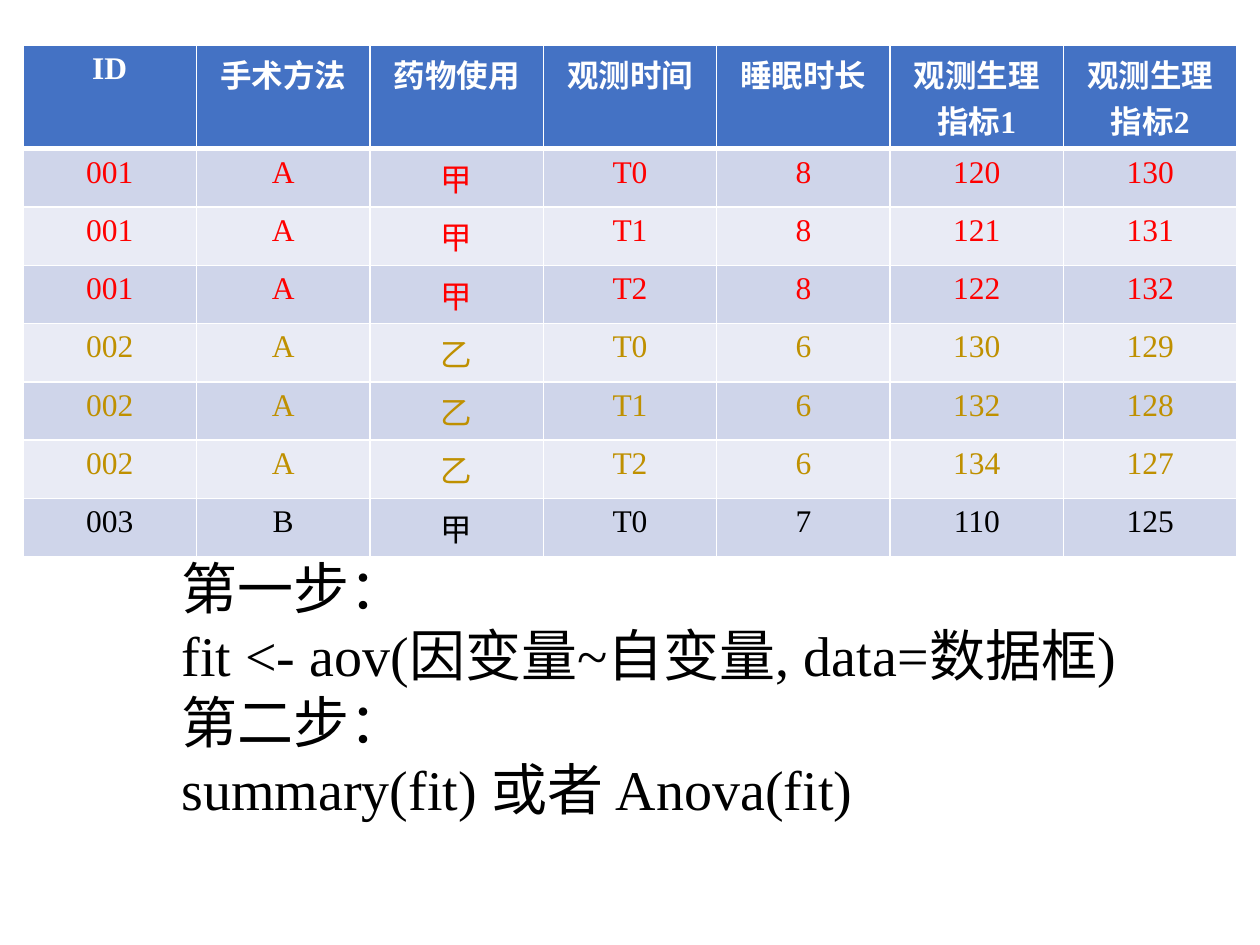
"""Build a slide with a repeated-measures table and the two steps of an ANOVA in R."""
from dataclasses import dataclass

import lxml.etree
import pptx
import pptx.dml.color
import pptx.enum.text
import pptx.oxml.ns
import pptx.util

EMU_PER_PX = 914400 / 126
FONT = "Times New Roman"
WHITE = pptx.dml.color.RGBColor(0xFF, 0xFF, 0xFF)
BLACK = pptx.dml.color.RGBColor(0x00, 0x00, 0x00)
RED = pptx.dml.color.RGBColor(0xFF, 0x00, 0x00)
GOLD = pptx.dml.color.RGBColor(0xBF, 0x90, 0x00)
HEADER_BLUE = pptx.dml.color.RGBColor(0x44, 0x72, 0xC4)
BANDS = (
    pptx.dml.color.RGBColor(0xCF, 0xD5, 0xEA),
    pptx.dml.color.RGBColor(0xE9, 0xEB, 0xF5),
)
HEADER_HEIGHT = 88
RECORD_HEIGHT = 51


@dataclass(frozen=True)
class Box:
    left: int
    top: int
    width: int
    height: int

    def emu(self) -> tuple:
        return tuple(px(n) for n in (self.left, self.top, self.width, self.height))


@dataclass(frozen=True)
class Subject:
    code: str
    surgery: str
    drug: str
    sleep: str
    readings: tuple
    color: pptx.dml.color.RGBColor


HEADINGS = ("ID", "手术方法", "药物使用", "观测时间", "睡眠时长", "观测生理指标1", "观测生理指标2")
SUBJECTS = (
    Subject("001", "A", "甲", "8", (("120", "130"), ("121", "131"), ("122", "132")), RED),
    Subject("002", "A", "乙", "6", (("130", "129"), ("132", "128"), ("134", "127")), GOLD),
    Subject("003", "B", "甲", "7", (("110", "125"),), BLACK),
)
STEPS = (
    "第一步：\n"
    "fit <- aov(因变量~自变量, data=数据框)\n"
    "第二步：\n"
    "summary(fit) 或者 Anova(fit)"
)


def px(length: int) -> pptx.util.Emu:
    return pptx.util.Emu(round(length * EMU_PER_PX))


def write(frame, text: str, *, size: int, color=BLACK, bold=False, align=None) -> None:
    frame.text = text
    for paragraph in frame.paragraphs:
        paragraph.alignment = align
        for run in paragraph.runs:
            run.font.name = FONT
            run.font.size = pptx.util.Pt(size)
            run.font.bold = bold
            run.font.color.rgb = color


def add_borders(cell, widths: dict) -> None:
    properties = cell._tc.get_or_add_tcPr()
    qn = pptx.oxml.ns.qn
    for side, points in widths.items():
        line = lxml.etree.SubElement(properties, qn(f"a:ln{side}"), w=str(pptx.util.Pt(points)))
        fill = lxml.etree.SubElement(line, qn("a:solidFill"))
        lxml.etree.SubElement(fill, qn("a:srgbClr"), val=str(WHITE))


def fill_row(table, index: int, texts: tuple, *, fill, color, bold=False) -> None:
    widths = {"L": 1, "R": 1, "T": 3 if index == 1 else 1, "B": 3 if index == 0 else 1}
    for column, text in enumerate(texts):
        cell = table.cell(index, column)
        write(cell.text_frame, text, size=18, color=color, bold=bold,
              align=pptx.enum.text.PP_ALIGN.CENTER)
        add_borders(cell, widths)
        cell.fill.solid()
        cell.fill.fore_color.rgb = fill


def add_observations(slide, box: Box) -> None:
    records = [
        ((s.code, s.surgery, s.drug, f"T{time}", s.sleep, *pair), s.color)
        for s in SUBJECTS
        for time, pair in enumerate(s.readings)
    ]
    table = slide.shapes.add_table(len(records) + 1, len(HEADINGS), *box.emu()).table
    for index, row in enumerate(table.rows):
        row.height = px(RECORD_HEIGHT if index else HEADER_HEIGHT)
    fill_row(table, 0, HEADINGS, fill=HEADER_BLUE, color=WHITE, bold=True)
    for index, (texts, color) in enumerate(records, start=1):
        fill_row(table, index, texts, fill=BANDS[(index - 1) % 2], color=color)


def add_steps(slide, box: Box) -> None:
    frame = slide.shapes.add_textbox(*box.emu()).text_frame
    frame.word_wrap = True
    frame.auto_size = pptx.enum.text.MSO_AUTO_SIZE.SHAPE_TO_FIT_TEXT
    write(frame, STEPS, size=32)


def main() -> None:
    presentation = pptx.Presentation()
    presentation.slide_width = px(1260)
    presentation.slide_height = px(945)
    slide = presentation.slides.add_slide(presentation.slide_layouts[6])
    add_observations(slide, Box(23, 45, 1214, HEADER_HEIGHT + 7 * RECORD_HEIGHT))
    add_steps(slide, Box(169, 547, 963, 285))
    presentation.save("out.pptx")


if __name__ == "__main__":
    main()
